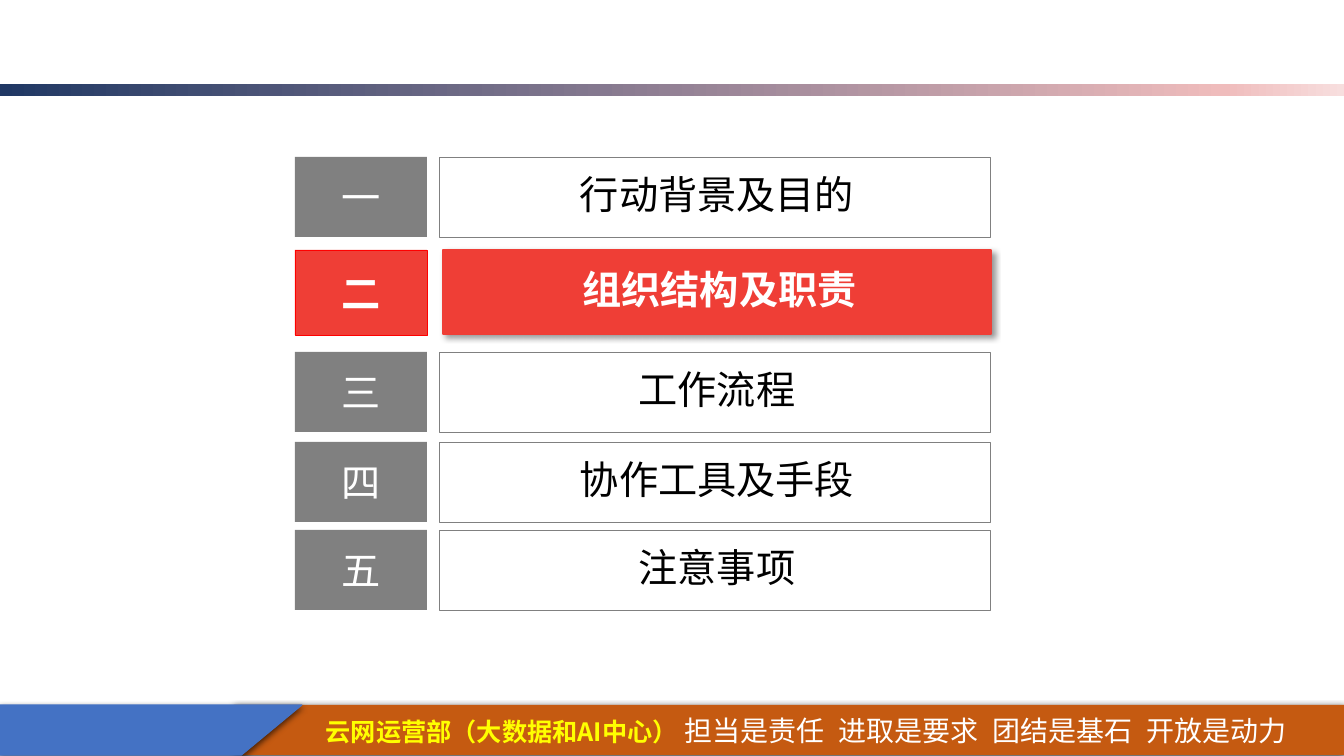
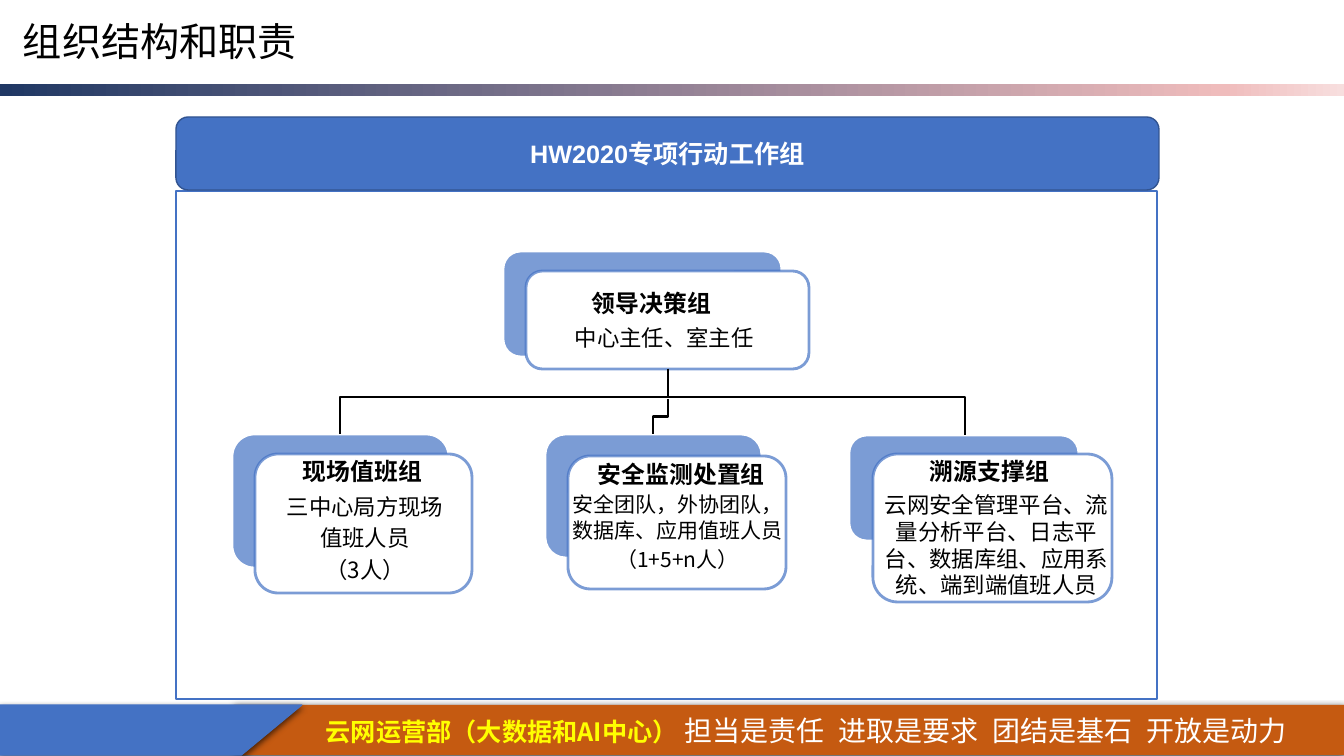
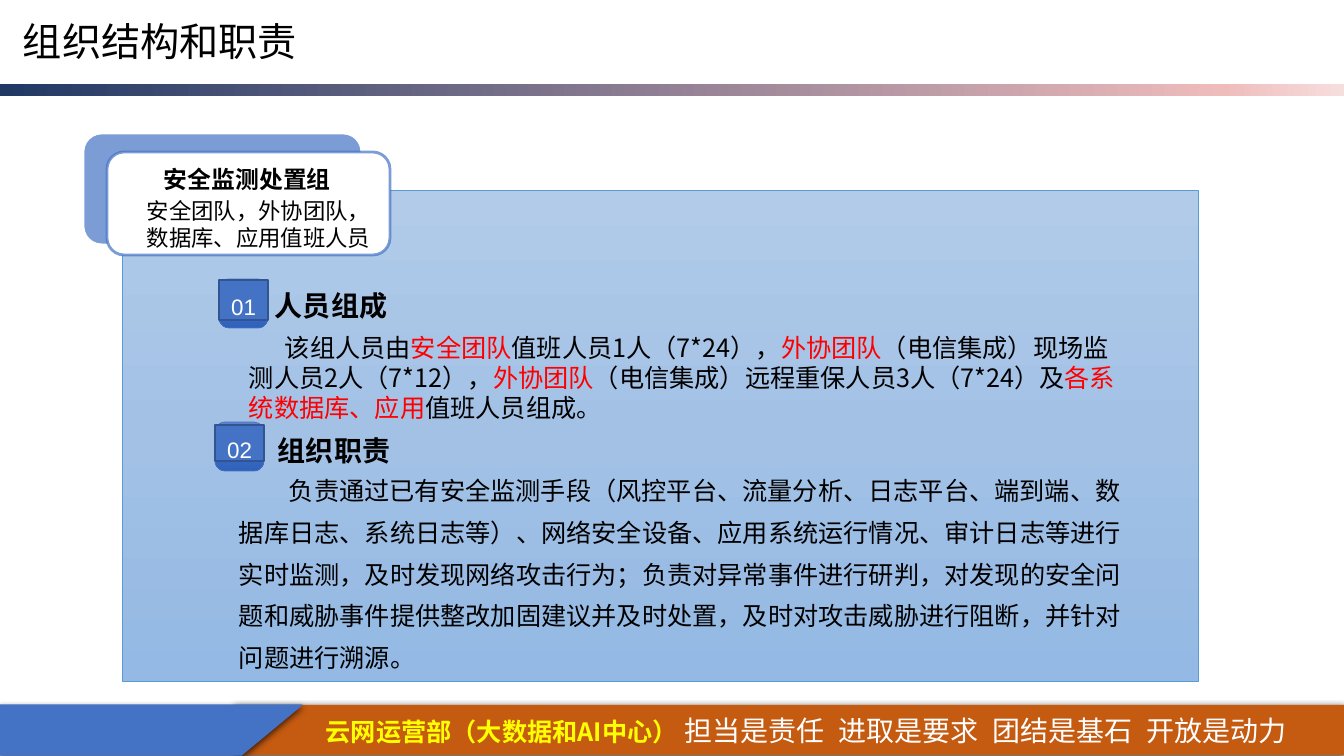
from lxml import etree
from pptx import Presentation
from pptx import util as u
from pptx.dml.color import RGBColor
from pptx.enum import shapes, text
from pptx.oxml import ns

SCALE = 914400 / 100.8  # EMU in one pixel
SANS, ARIAL = "Noto Sans CJK SC", "Arial"
KIND = shapes.MSO_SHAPE
LEFT, CENTER = text.PP_ALIGN.LEFT, text.PP_ALIGN.CENTER

WHITE = RGBColor(0xFF, 0xFF, 0xFF)
BLACK = RGBColor(0x00, 0x00, 0x00)
RED = RGBColor(0xFF, 0x00, 0x00)
YELLOW = RGBColor(0xFF, 0xFF, 0x00)
ACCENT = RGBColor(0xEF, 0x3E, 0x36)
GRAY = RGBColor(0x80, 0x80, 0x80)
BLUE = RGBColor(0x44, 0x72, 0xC4)
DARK_BLUE = RGBColor(0x32, 0x54, 0x91)
SKY = RGBColor(0x5B, 0x9B, 0xD5)
ORANGE = RGBColor(0xC5, 0x5A, 0x11)
HEADER_STOPS = [(0, "203864"), (91, "EFBCBC"), (100, "F7DEDE")]
PANEL_STOPS = [(0, "B1CBE9"), (50, "A3C1E5"), (100, "93B9E4")]
BADGE_STOPS = [(0, "6183CB"), (50, "3E70CA"), (100, "3062BB")]
BAND_SHADOW = (63, 4.5, 1.5, 90)  # opacity, blur, distance, angle
ROW_SHADOW = (40, 4, 3, 45)
TITLE = "组织结构和职责"


def px(value):
    return u.Emu(round(value * SCALE))


# Fills and effects
def add_child(parent, tag, **attributes):
    return etree.SubElement(parent, ns.qn(tag), attributes)


def set_gradient(shape, stops, angle):
    shape.fill.gradient()
    shape.fill.gradient_angle = (360 - angle) % 360
    stop_list = shape._element.spPr.find(".//" + ns.qn("a:gsLst"))
    for old in list(stop_list):
        stop_list.remove(old)
    for position, color in stops:
        stop = add_child(stop_list, "a:gs", pos=str(position * 1000))
        add_child(stop, "a:srgbClr", val=color)


def set_shadow(shape, opacity, blur, distance, angle):
    effects = shape._element.spPr.find(ns.qn("a:effectLst"))
    outer = add_child(effects, "a:outerShdw", blurRad=str(u.Pt(blur)),
                      dist=str(u.Pt(distance)), dir=str(angle * 60000),
                      algn="ctr", rotWithShape="0")
    color = add_child(outer, "a:srgbClr", val="000000")
    add_child(color, "a:alpha", val=str(opacity * 1000))


def fade(part, opacity=70):
    for color in part.iter(ns.qn("a:srgbClr")):
        add_child(color, "a:alpha", val=str(opacity * 1000))


# Text
def write(shape, paragraphs, size, color=BLACK, bold=False, font=SANS, align=LEFT,
          anchor=text.MSO_ANCHOR.TOP, spacing=None, before=None, left=0, first=0,
          insets=None):
    """Each paragraph is a string or a list of (string, format changes)."""
    frame = shape.text_frame
    frame.word_wrap = True
    frame.vertical_anchor = anchor
    if insets:
        (frame.margin_left, frame.margin_top,
         frame.margin_right, frame.margin_bottom) = map(px, insets)
    for index, content in enumerate(paragraphs):
        para = frame.add_paragraph() if index else frame.paragraphs[0]
        para.alignment = align
        if spacing:
            para.line_spacing = spacing
        if before:
            para.space_before = u.Pt(before)
        properties = para._p.get_or_add_pPr()
        properties.set("hangingPunct", "0")
        if left or first:
            properties.set("marL", str(px(left)))
            properties.set("indent", str(px(first)))
        spans = [(content, {})] if isinstance(content, str) else content
        for wording, changes in spans:
            span = para.add_run()
            span.text = wording
            span.font.size = u.Pt(changes.get("size", size))
            span.font.bold = changes.get("bold", bold)
            span.font.color.rgb = changes.get("color", color)
            span.font.name = font
            add_child(span._r.get_or_add_rPr(), "a:ea", typeface=SANS)


def add_text(slide, place, paragraphs, size, **style):
    box = slide.shapes.add_textbox(*map(px, place))
    write(box, paragraphs, size, **style)
    return box


def label(shape, wording, size, color=WHITE, **style):
    write(shape, [wording], size, color=color, align=CENTER,
          anchor=text.MSO_ANCHOR.MIDDLE, **style)


# Shapes
def add_block(slide, place, fill=None, line=None, width=1.0, kind=KIND.RECTANGLE,
              corner=None):
    shape = slide.shapes.add_shape(kind, *map(px, place))
    shape.shadow.inherit = False
    if corner:
        shape.adjustments[0] = corner
    if fill is None:
        shape.fill.background()
    else:
        shape.fill.solid()
        shape.fill.fore_color.rgb = fill
    if line is None:
        shape.line.fill.background()
    else:
        shape.line.color.rgb = line
        shape.line.width = u.Pt(width)
    return shape


def add_card(slide, back, front):
    backing = add_block(slide, back, BLUE, WHITE, 2, KIND.ROUNDED_RECTANGLE, 0.167)
    fade(backing._element.spPr.find(ns.qn("a:solidFill")))
    card = add_block(slide, front, WHITE, BLUE, 2, KIND.ROUNDED_RECTANGLE)
    fade(card._element.spPr.find(ns.qn("a:ln")))


def add_heading(slide, place, wording, **style):
    add_text(slide, place, [wording], 17, bold=True, before=3.4, **style)


def add_members(slide, place, paragraphs, align=CENTER, size=16):
    add_text(slide, place, paragraphs, size, align=align, before=3.2)


def add_elbow(slide, start, end, bend):
    """Runs down, across, then down: a quarter-turned elbow about its midpoint."""
    (x1, y1), (x2, y2) = start, end
    width, height = y2 - y1, abs(x2 - x1)
    left, top = (x1 + x2 - width) / 2, (y1 + y2 - height) / 2
    elbow = slide.shapes.add_connector(
        shapes.MSO_CONNECTOR.ELBOW, px(left), px(top), px(left + width), px(top + height))
    elbow.line.color.rgb = BLACK
    elbow.line.width = u.Pt(1.5)
    properties = elbow._element.spPr
    add_child(properties, "a:effectLst")
    frame = properties.find(ns.qn("a:xfrm"))
    frame.set("rot", str((270 if x2 > x1 else 90) * 60000))
    if x2 > x1:
        frame.set("flipH", "1")
    guides = properties.find(".//" + ns.qn("a:avLst"))
    add_child(guides, "a:gd", name="adj1", fmla=f"val {round(bend * 100000)}")


# Shared by all slides
def add_page(deck, title=None):
    page = deck.slides.add_slide(deck.slide_layouts[6])
    footer = add_block(page, (234, 705, 1110, 50), ORANGE)
    set_shadow(footer, *BAND_SHADOW)
    motto = "\u2002".join(["担当是责任", "进取是要求", "团结是基石", "开放是动力"])
    label(footer, [("云网运营部（大数据和AI中心）", {"color": YELLOW, "bold": True}),
                   (" " + motto, {"size": 20})], 18, left=35)
    wedge = add_block(page, (126, 579, 50, 302), BLUE, BLUE, 0.75,
                      KIND.FLOWCHART_MANUAL_INPUT)
    wedge.rotation = 90
    wedge._element.spPr.find(ns.qn("a:xfrm")).set("flipH", "1")
    set_shadow(wedge, *BAND_SHADOW)
    set_gradient(add_block(page, (0, 84, 1344, 12)), HEADER_STOPS, 0)
    if title:
        add_text(page, (13, 18, 1217, 64), [title], 28, spacing=0.9, before=10)
    return page


# Slide 1
def build_agenda(deck):
    page = add_page(deck)
    rows = [("一", "行动背景及目的", 157), ("二", "组织结构及职责", 250),
            ("三", "工作流程", 352), ("四", "协作工具及手段", 442), ("五", "注意事项", 530)]
    for number, topic, top in rows:
        current = number == "二"
        if current:
            row = add_block(page, (443, top, 548, 84), ACCENT, ACCENT)
            set_shadow(row, *ROW_SHADOW)
            badge = add_block(page, (295, top, 132, 85), ACCENT, RED, 0.5)
        else:
            row = add_block(page, (439, top, 551, 80), None, GRAY, 0.5)
            badge = add_block(page, (295, top, 132, 80), GRAY)
        label(row, topic, 28, WHITE if current else BLACK, bold=current,
              spacing=0.9, insets=(39, 34, 34, 34))
        label(badge, number, 28, bold=current)


# Slide 2
def build_organization(deck):
    page = add_page(deck, TITLE)
    add_block(page, (176, 191, 981, 508), WHITE, BLUE)
    banner = add_block(page, (176, 117, 983, 73), BLUE, DARK_BLUE,
                       kind=KIND.ROUNDED_RECTANGLE)
    label(banner, "HW2020专项行动工作组", 18, bold=True, font=ARIAL)

    add_card(page, (503, 251, 279, 106), (526, 271, 283, 98))
    add_heading(page, (550, 284, 251, 31), "领导决策组", left=32)
    add_members(page, (565, 319, 203, 53), ["中心主任、室主任"], LEFT)

    add_card(page, (232, 434, 217, 134), (255, 454, 217, 139))
    add_heading(page, (293, 452, 251, 31), "现场值班组")
    add_members(page, (262, 488, 206, 53), ["三中心局方现场", "值班人员", "（3人）"])

    add_card(page, (545, 434, 217, 124), (568, 456, 218, 133))
    add_heading(page, (588, 455, 251, 31), "安全监测处置组")
    add_members(page, (560, 487, 235, 53),
                ["安全团队，外协团队，数据库、应用值班人员", "（1+5+n人）"], size=15)

    add_card(page, (849, 435, 230, 106), (873, 454, 239, 148))
    add_heading(page, (864, 452, 251, 53), "溯源支撑组", align=CENTER)
    add_members(page, (871, 486, 251, 53),
                ["云网安全管理平台、流量分析平台、日志平台、数据库组、应用系统、端到端值班人员"])

    add_elbow(page, (668, 369), (965, 435), 0.43)
    add_elbow(page, (668, 399), (653, 434), 0.5)
    add_elbow(page, (668, 369), (340, 434), 0.43)


# Slide 3
def add_section(slide, number, badge_place, tab_place, heading_place, heading):
    badge = add_block(slide, badge_place, None, BLUE, 0.5, KIND.ROUNDED_RECTANGLE, 0.203)
    set_gradient(badge, BADGE_STOPS, 90)
    tab = add_block(slide, tab_place, BLUE, DARK_BLUE)
    label(tab, number, 16, font=ARIAL, spacing=1.5, insets=(0, 0, 0, 0))
    add_text(slide, heading_place, [heading], 20, bold=True, font=ARIAL,
             spacing=1.2, before=6.3, insets=(0, 0, 0, 0))


def build_duties(deck):
    page = add_page(deck, TITLE)
    panel = add_block(page, (122, 190, 1076, 491), None, SKY, 0.5)
    set_gradient(panel, PANEL_STOPS, 90)
    add_card(page, (83, 133, 279, 112), (107, 152, 283, 103))
    add_heading(page, (122, 160, 251, 33), "安全监测处置组", left=32)
    add_members(page, (137, 192, 263, 56),
                ["安全团队，外协团队，数据库、应用值班人员"], LEFT)

    add_section(page, "01", (219, 279, 49, 49), (219, 280, 49, 40),
                (275, 282, 147, 37), "人员组成")
    red = {"color": RED}
    staffing = [("该组人员由", {}), ("安全团队", red), ("值班人员1人（7*24），", {}),
                ("外协团队", red), ("（电信集成）现场监测人员2人（7*12），", {}),
                ("外协团队", red), ("（电信集成）远程重保人员3人（7*24）及", {}),
                ("各系统数据库、应用", red), ("值班人员组成。", {})]
    add_text(page, (230, 332, 898, 92), [staffing], 18, before=6.3,
             left=19, first=36, insets=(0, 0, 0, 0))

    add_section(page, "02", (215, 422, 49, 49), (215, 425, 49, 36),
                (278, 427, 250, 37), "组织职责")
    duties = ("负责通过已有安全监测手段（风控平台、流量分析、日志平台、端到端、数据库日志、"
              "系统日志等）、网络安全设备、应用系统运行情况、审计日志等进行实时监测，"
              "及时发现网络攻击行为；负责对异常事件进行研判，对发现的安全问题和威胁事件"
              "提供整改加固建议并及时处置，及时对攻击威胁进行阻断，并针对问题进行溯源。")
    add_text(page, (239, 464, 889, 212), [duties], 18, spacing=1.38, first=50,
             insets=(0, 0, 0, 0))


def main():
    deck = Presentation()
    deck.slide_width, deck.slide_height = px(1344), px(756)
    build_agenda(deck)
    build_organization(deck)
    build_duties(deck)
    deck.save("out.pptx")


main()
